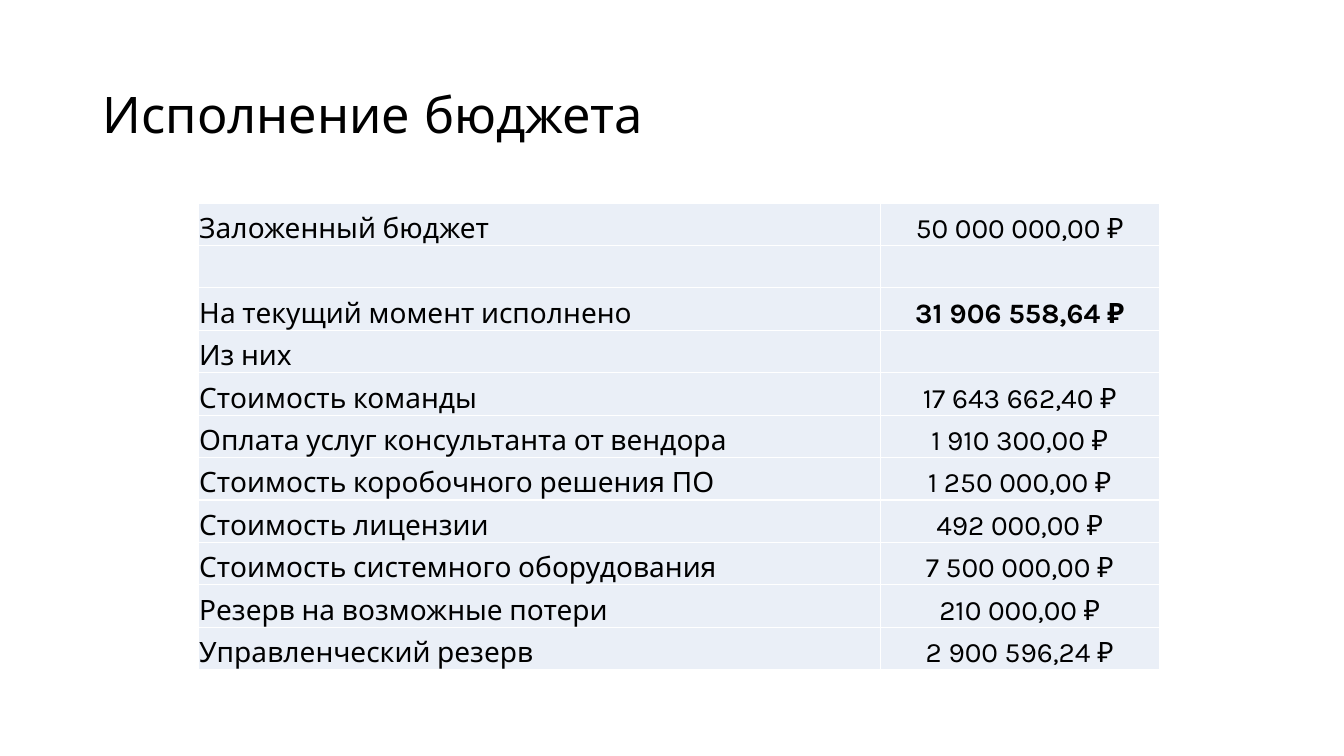
import lxml.etree
import pptx
import pptx.dml.color
import pptx.enum.text
import pptx.oxml.ns
import pptx.util

ANCHOR = pptx.enum.text.MSO_ANCHOR
ALIGN = pptx.enum.text.PP_ALIGN


def color(value):
    return pptx.dml.color.RGBColor.from_string(value)


class Deck:
    font = "Karla"
    ink = "000000"
    band = "EAEFF7"
    rule = "FFFFFF"

    def __init__(self):
        self.prs = pptx.Presentation()
        self.prs.slide_width = pptx.util.Inches(13.33)
        self.prs.slide_height = pptx.util.Inches(7.5)
        self.s = self.prs.slides.add_slide(self.prs.slide_layouts[5])

    def x(self, percent):
        return round(self.prs.slide_width * percent / 100)

    def y(self, percent):
        return round(self.prs.slide_height * percent / 100)

    def run(self, p, text, size, font=None, bold=False):
        r = p.add_run()
        r.text = text
        r.font.name = font or self.font
        r.font.size = pptx.util.Pt(size)
        r.font.bold = bold
        r.font.color.rgb = color(self.ink)

    def title(self, runs, left, top, width, height):
        sp = self.s.shapes.title
        sp.left, sp.top = self.x(left), self.y(top)
        sp.width, sp.height = self.x(width), self.y(height)
        tf = sp.text_frame
        tf.word_wrap = True
        tf.auto_size = pptx.enum.text.MSO_AUTO_SIZE.NONE
        tf.vertical_anchor = ANCHOR.MIDDLE
        p = tf.paragraphs[0]
        p.alignment = ALIGN.LEFT
        p.line_spacing = 0.9
        for text, size, font in runs:
            self.run(p, text, size, font)

    def borders(self, cell):
        tcPr = cell._tc.get_or_add_tcPr()
        qn = pptx.oxml.ns.qn
        for i, side in enumerate(("a:lnL", "a:lnR", "a:lnT", "a:lnB")):
            ln = lxml.etree.Element(qn(side), w=str(pptx.util.Pt(1)))
            fill = lxml.etree.SubElement(ln, qn("a:solidFill"))
            lxml.etree.SubElement(fill, qn("a:srgbClr"), val=self.rule)
            tcPr.insert(i, ln)

    def cell(self, cell, text, align, bold):
        cell.fill.solid()
        cell.fill.fore_color.rgb = color(self.band)
        cell.vertical_anchor = ANCHOR.BOTTOM
        cell.margin_left = cell.margin_right = cell.margin_top = pptx.util.Inches(0.01)
        cell.margin_bottom = 0
        self.borders(cell)
        p = cell.text_frame.paragraphs[0]
        p.alignment = align
        if text:
            self.run(p, text, 20, bold=bold)

    def table(self, rows, bold_cells, left, top, widths, height):
        table = self.s.shapes.add_table(
            len(rows), len(widths), self.x(left), self.y(top),
            self.x(sum(widths)), self.y(height)).table
        table.first_row = table.horz_banding = False
        for column, width in zip(table.columns, widths):
            column.width = self.x(width)
        for i, row in enumerate(rows):
            table.rows[i].height = self.y(height / len(rows))
            for j, (text, align) in enumerate(zip(row, (ALIGN.LEFT, ALIGN.CENTER))):
                self.cell(table.cell(i, j), text, align, (i, j) in bold_cells)


BUDGET = [
    ("Заложенный бюджет", "50 000 000,00 ₽"),
    ("", ""),
    ("На текущий момент исполнено", "31 906 558,64 ₽"),
    ("Из них", ""),
    ("Стоимость команды", "17 643 662,40 ₽"),
    ("Оплата услуг консультанта от вендора", "1 910 300,00 ₽"),
    ("Стоимость коробочного решения ПО", "1 250 000,00 ₽"),
    ("Стоимость лицензии", "492 000,00 ₽"),
    ("Стоимость системного оборудования", "7 500 000,00 ₽"),
    ("Резерв на возможные потери", "210 000,00 ₽"),
    ("Управленческий резерв", "2 900 596,24 ₽"),
]


def main():
    deck = Deck()
    deck.title([("Исполнение", 36, "Karla"), (" ", 44, "Calibri"), ("бюджета", 36, "Karla")],
               6.9, 5.33, 86.25, 19.33)
    deck.table(BUDGET, {(2, 1)}, 14.75, 26.85, (50.75, 20.75), 61.75)
    deck.prs.save("out.pptx")


if __name__ == "__main__":
    main()
